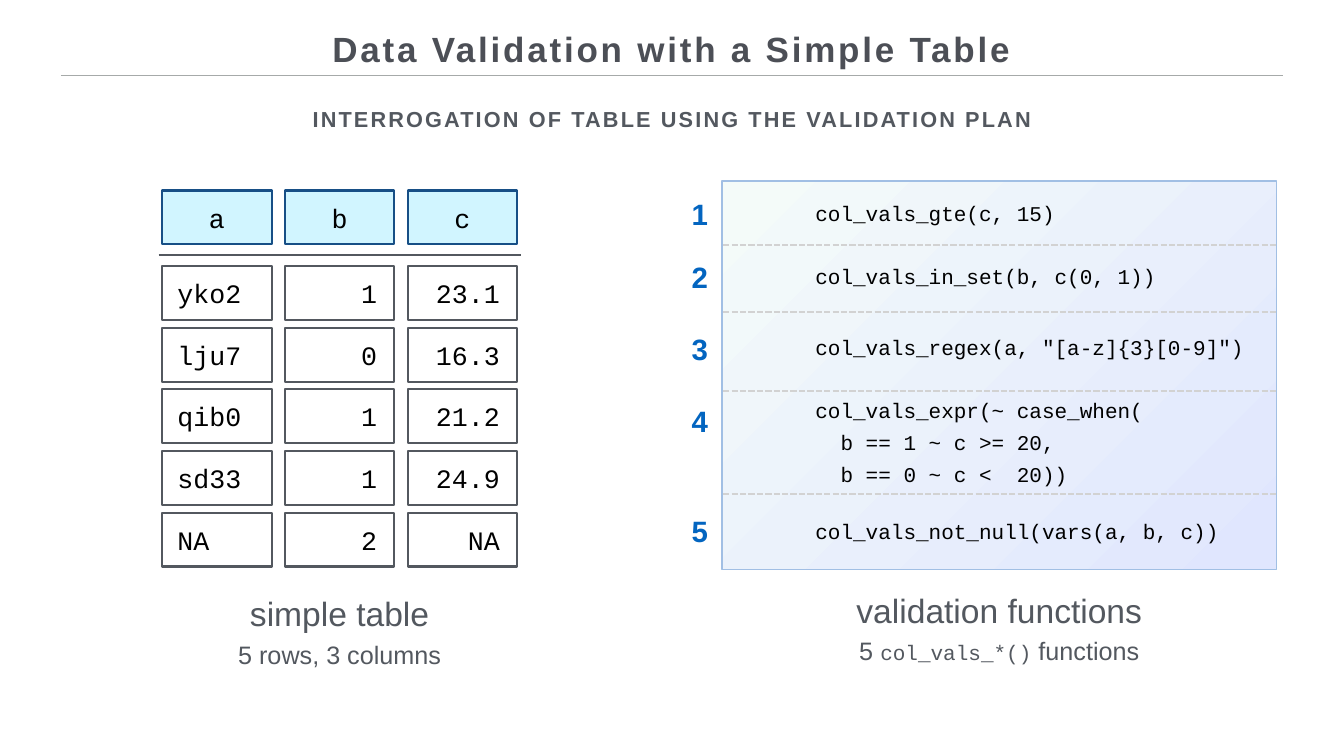
from pptx import Presentation
from pptx.dml.color import RGBColor
from pptx.enum.dml import MSO_LINE
from pptx.enum.shapes import MSO_CONNECTOR, MSO_SHAPE
from pptx.enum.text import MSO_ANCHOR, PP_ALIGN
from pptx.oxml.ns import qn
from pptx.util import Inches, Pt
from lxml import etree

LEFT, CENTER, RIGHT = PP_ALIGN.LEFT, PP_ALIGN.CENTER, PP_ALIGN.RIGHT
MIDDLE, BOTTOM = MSO_ANCHOR.MIDDLE, MSO_ANCHOR.BOTTOM
RECTANGLE, STRAIGHT = MSO_SHAPE.RECTANGLE, MSO_CONNECTOR.STRAIGHT
DASH = MSO_LINE.SQUARE_DOT

SANS, MONO = "Arial", "Courier New"
GREY, BLACK, BLUE = "53585F", "000000", "0365C0"
INSET = 0.06

HEADERS = ["a", "b", "c"]
ROWS = [
    ["yko2", "1", "23.1"],
    ["lju7", "0", "16.3"],
    ["qib0", "1", "21.2"],
    ["sd33", "1", "24.9"],
    ["NA", "2", "NA"],
]
ALIGNMENTS = [LEFT, RIGHT, RIGHT]

# Top of the step number, top of the code, code lines
STEPS = [
    (3.83, 3.93, ["col_vals_gte(c, 15)"]),
    (5.08, 5.19, ["col_vals_in_set(b, c(0, 1))"]),
    (6.52, 6.6, ['col_vals_regex(a, "[a-z]{3}[0-9]")']),
    (7.94, 7.85, ["col_vals_expr(~ case_when(",
                  "  b == 1 ~ c >= 20,",
                  "  b == 0 ~ c <  20))"]),
    (10.13, 10.24, ["col_vals_not_null(vars(a, b, c))"]),
]
DIVIDERS = [4.86, 6.19, 7.75, 9.8]
CODE_LINE = 0.63


def color(value):
    return RGBColor.from_string(value)


def write(shape, *lines, size, font=SANS, fill=GREY, bold=False, align=CENTER,
          anchor=MIDDLE, spacing=None, line_height=None, margins=(INSET, INSET)):
    """Fill a shape with lines; a line is a string or a list of (text, font, size)."""
    frame = shape.text_frame
    frame.word_wrap = True
    frame.vertical_anchor = anchor
    frame.margin_left, frame.margin_right = map(Inches, margins)
    frame.margin_top = frame.margin_bottom = Inches(INSET)
    for index, line in enumerate(lines):
        paragraph = frame.add_paragraph() if index else frame.paragraphs[0]
        paragraph.alignment = align
        if line_height:
            paragraph.line_spacing = Inches(line_height)
        parts = [(line, font, size)] if isinstance(line, str) else line
        for text, part_font, part_size in parts:
            run = paragraph.add_run()
            run.text = text
            run.font.name, run.font.size = part_font, Pt(part_size)
            run.font.bold = bold
            run.font.color.rgb = color(fill)
            if spacing:
                run.font._element.set("spc", str(round(spacing * 100)))


def add_text(slide, left, top, width, height, *lines, **text_format):
    box = slide.shapes.add_textbox(*map(Inches, (left, top, width, height)))
    write(box, *lines, **text_format)


def add_box(slide, left, top, width, height, line, line_width):
    shape = slide.shapes.add_shape(RECTANGLE, *map(Inches, (left, top, width, height)))
    shape.shadow.inherit = False
    shape.fill.background()
    shape.line.color.rgb = color(line)
    shape.line.width = Pt(line_width)
    return shape


def add_rule(slide, left, right, y, line, width, dash=None):
    rule = slide.shapes.add_connector(
        STRAIGHT, Inches(left), Inches(y), Inches(right), Inches(y))
    rule.line.color.rgb = color(line)
    rule.line.width = Pt(width)
    if dash:
        rule.line.dash_style = dash
    etree.SubElement(rule._element.spPr, qn("a:effectLst"))


def add_title(slide):
    title = slide.shapes.title
    title.left, title.top, title.width, title.height = map(
        Inches, (1.37, 0.49, 23.91, 0.94))
    write(title, "Data Validation with a Simple Table",
          size=50, fill="4C4F56", bold=True, spacing=4)
    add_rule(slide, 1.21, 25.46, 1.5, "A6AAA9", 2)
    add_text(slide, 4.05, 2.05, 18.57, 0.63,
             "INTERROGATION OF TABLE USING THE VALIDATION PLAN",
             size=31, bold=True, spacing=3.1)


def add_simple_table(slide):
    """Separate cells in a grid, below a row of tinted header cells."""
    width, height = 2.17, 1.07
    column_step, row_step = (8.09 - 3.22) / 2, (10.17 - 5.28) / 4
    for column, header in enumerate(HEADERS):
        left = 3.22 + column * column_step
        cell = add_box(slide, left, 3.78, width, height, "174F86", 3)
        cell.fill.solid()
        cell.fill.fore_color.rgb = color("A4EDFF")
        tint = cell._element.spPr.find(qn("a:solidFill")).find(qn("a:srgbClr"))
        etree.SubElement(tint, qn("a:alpha"), val="50000")
        write(cell, header, size=38, font=MONO, fill=BLACK)
        for row, values in enumerate(ROWS):
            cell = add_box(slide, left, 5.28 + row * row_step, width, height, GREY, 3)
            write(cell, values[column], size=38, font=MONO, fill=BLACK,
                  align=ALIGNMENTS[column], margins=(0.3, 0.34))
    add_rule(slide, 3.15, 10.33, 5.06, GREY, 4)


def add_validation_plan(slide):
    """Gradient panel with numbered code steps and dashed dividers."""
    panel = add_box(slide, 14.33, 3.59, 11, 7.71, "A1BFE4", 2)
    panel.fill.gradient()
    panel.fill.gradient_angle = 135
    for stop, shade in zip(panel.fill.gradient_stops, ("E0E6FE", "F4FBF9")):
        stop.color.rgb = color(shade)
    for y in DIVIDERS:
        add_rule(slide, 14.35, 25.34, y, "D2D2D2", 3, DASH)
    for number, (number_top, code_top, code) in enumerate(STEPS, 1):
        add_text(slide, 13.35, number_top, 0.76, 0.81, str(number),
                 size=42, fill=BLUE, bold=True, align=RIGHT)
        line_height = CODE_LINE if len(code) > 1 else None
        add_text(slide, 16.12, code_top, 9.1, 0.6 + CODE_LINE * (len(code) - 1),
                 *code, size=30, font=MONO, fill=BLACK, align=LEFT,
                 anchor=BOTTOM, line_height=line_height)


def add_captions(slide):
    add_text(slide, 0.01, 11.71, 13.46, 0.92, "simple table", size=48)
    add_text(slide, 3.79, 12.62, 5.9, 0.71, "5 rows, 3 columns", size=36)
    add_text(slide, 15.64, 11.64, 8.38, 0.92, "validation functions", size=48)
    add_text(slide, 16.36, 12.55, 6.94, 0.71,
             [("5 ", SANS, 36), ("col_vals_*()", MONO, 30), (" functions", SANS, 36)],
             size=36)


def main():
    presentation = Presentation()
    presentation.slide_width = Inches(26.67)
    presentation.slide_height = Inches(15)
    slide = presentation.slides.add_slide(presentation.slide_layouts[5])
    add_title(slide)
    add_simple_table(slide)
    add_validation_plan(slide)
    add_captions(slide)
    presentation.save("out.pptx")


if __name__ == "__main__":
    main()
